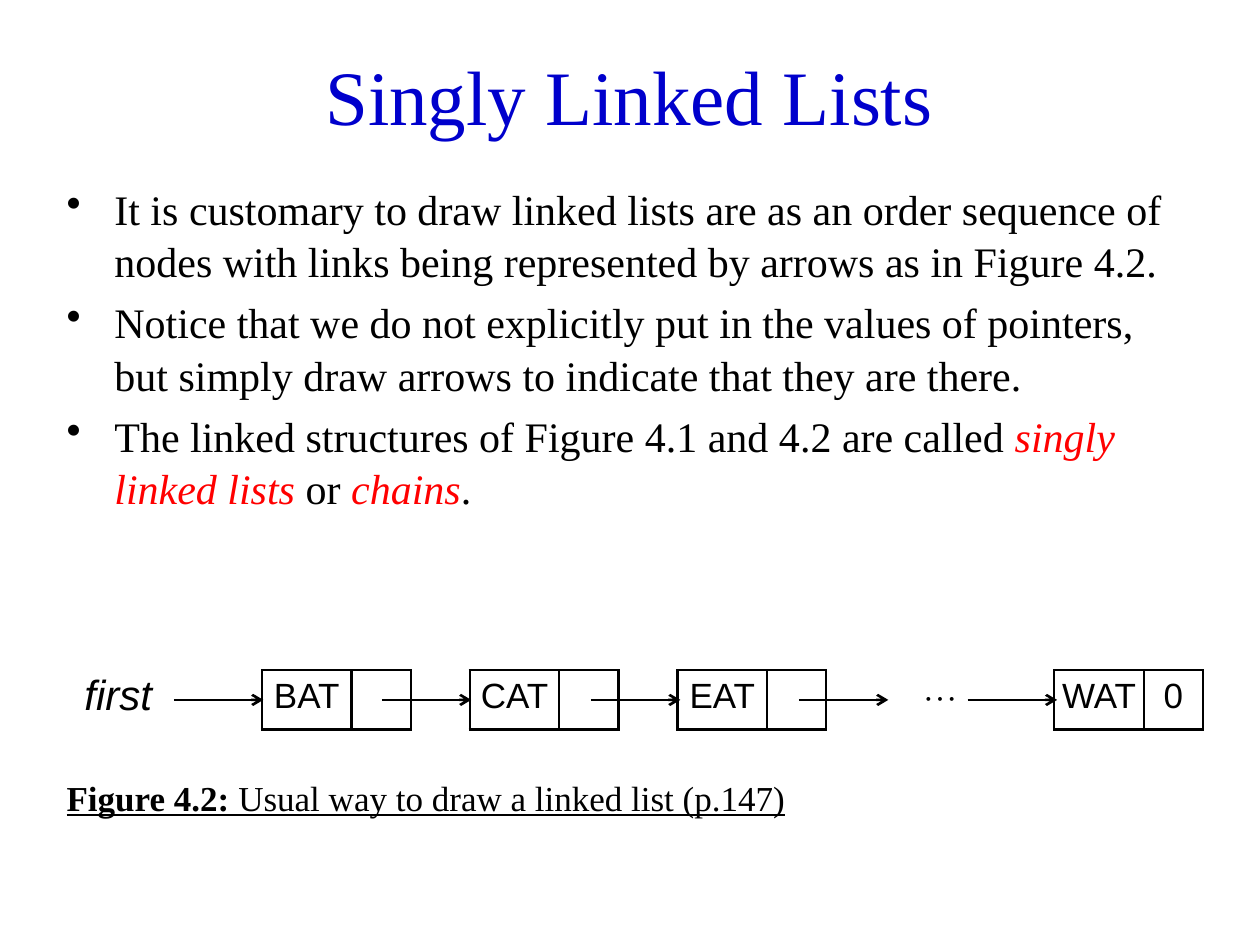
"""Build a slide that explains singly linked lists with a node diagram."""
import pptx
import pptx.dml.color
import pptx.enum.shapes
import pptx.enum.text
import pptx.oxml
import pptx.oxml.ns
import pptx.util
from lxml import etree

Inches, Pt = pptx.util.Inches, pptx.util.Pt
ALIGN, ANCHOR = pptx.enum.text.PP_ALIGN, pptx.enum.text.MSO_ANCHOR
qn = pptx.oxml.ns.qn
COLORS = {"title": "0000CC", "text": "000000", "term": "FF0000", "line": "000000"}
SERIF, SANS = "Times New Roman", "Arial"
LINE_WIDTH = Pt(1.5)
NO_GRID_STYLE = "{2D5ABB26-0587-4C30-8999-92F81FD0307C}"

BULLETS = [
    [("It is customary to draw linked lists are as an order sequence of nodes "
      "with links being represented by arrows as in Figure 4.2.", False)],
    [("Notice that we do not explicitly put in the values of pointers, "
      "but simply draw arrows to indicate that they are there.", False)],
    [("The linked structures of Figure 4.1 and 4.2 are called ", False),
     ("singly linked lists", True), (" or ", False), ("chains", True), (".", False)],
]
DATA_WIDTH, LINK_WIDTH = 0.71, 0.47
COLUMN_WIDTHS = ([1.02, LINK_WIDTH] + [DATA_WIDTH, LINK_WIDTH, LINK_WIDTH] * 2
                 + [DATA_WIDTH, LINK_WIDTH, 1.81, DATA_WIDTH, LINK_WIDTH])
CELL_TEXTS = {0: "first", 2: "BAT", 5: "CAT", 8: "EAT", 10: "⋯", 11: "WAT", 12: "0"}
NODE_COLUMNS = {2, 3, 5, 6, 8, 9, 11, 12}
ARROW_STARTS = [1.38, 3.03, 4.69, 6.34, 7.68]
ARROW_LENGTH = 0.71


def rgb(name):
    """Return the named colour."""
    return pptx.dml.color.RGBColor.from_string(COLORS[name])


def style_font(font, name, size, color="text"):
    """Set the face, size and colour of a font."""
    font.name, font.size = name, Pt(size)
    font.color.rgb = rgb(color)


def add_title(slide, left, top, width, height):
    """Place and format the title placeholder."""
    title = slide.shapes.title
    title.left, title.top, title.width, title.height = map(Inches, (left, top, width, height))
    title.text_frame.text = "Singly Linked Lists"
    title.text_frame.vertical_anchor = ANCHOR.MIDDLE
    paragraph = title.text_frame.paragraphs[0]
    paragraph.alignment = ALIGN.CENTER
    style_font(paragraph.font, SERIF, 44, "title")


def add_text_frame(slide, left, top, width, height):
    """Add a wrapping text box and return its text frame."""
    box = slide.shapes.add_textbox(*map(Inches, (left, top, width, height)))
    box.text_frame.word_wrap = True
    return box.text_frame


def add_bullets(slide, left, top, width, height):
    """Add the bulleted explanation with its terms highlighted."""
    frame = add_text_frame(slide, left, top, width, height)
    for index, runs in enumerate(BULLETS):
        paragraph = frame.paragraphs[0] if index == 0 else frame.add_paragraph()
        paragraph.space_before = Pt(5)
        paragraph.line_spacing = 1.04
        style_font(paragraph.font, SERIF, 24)
        properties = paragraph._p.get_or_add_pPr()
        properties.set("marL", str(Inches(0.38)))
        properties.set("indent", str(-Inches(0.38)))
        bullet = pptx.oxml.parse_xml(f'<a:buChar {pptx.oxml.ns.nsdecls("a")} char="•"/>')
        properties.find(qn("a:defRPr")).addprevious(bullet)
        for text, is_term in runs:
            run = paragraph.add_run()
            run.text = text
            style_font(run.font, SERIF, 24, "term" if is_term else "text")
            run.font.italic = is_term


def add_caption(slide, left, top, width, height):
    """Add the underlined figure caption."""
    paragraph = add_text_frame(slide, left, top, width, height).paragraphs[0]
    paragraph.space_before = Pt(4)
    for text, bold in (("Figure 4.2: ", True),
                       ("Usual way to draw a linked list (p.147)", False)):
        run = paragraph.add_run()
        run.text = text
        style_font(run.font, SERIF, 20)
        run.font.bold, run.font.underline = bold, True


def set_borders(cell, column):
    """Draw the cell edges that belong to a node."""
    is_node = column in NODE_COLUMNS
    edges = {"lnL": is_node or column - 1 in NODE_COLUMNS,
             "lnR": is_node or column + 1 in NODE_COLUMNS,
             "lnT": is_node, "lnB": is_node}
    properties = cell._tc.get_or_add_tcPr()
    for position, (tag, visible) in enumerate(edges.items()):
        edge = etree.Element(qn(f"a:{tag}"), w=str(LINE_WIDTH))
        fill = etree.SubElement(edge, qn("a:solidFill" if visible else "a:noFill"))
        if visible:
            etree.SubElement(fill, qn("a:srgbClr"), val=COLORS["line"])
        properties.insert(position, edge)


def fill_cell(cell, column):
    """Format one cell of the node row and write its text."""
    is_label, is_dots = column == 0, column == 10
    cell.margin_left = cell.margin_right = Inches(0.04 if column == 11 else 0.08)
    cell.margin_top = cell.margin_bottom = Inches(0.02 if is_label else 0.05)
    cell.text = CELL_TEXTS.get(column, "")
    cell.fill.background()
    paragraph = cell.text_frame.paragraphs[0]
    paragraph.alignment = ALIGN.LEFT if is_label else ALIGN.CENTER
    style_font(paragraph.font, "Cambria" if is_dots else SANS, 24 if is_label else 20)
    paragraph.font.italic = is_label
    set_borders(cell, column)


def add_arrow(slide, left, middle):
    """Add one link arrow that points right."""
    arrow = slide.shapes.add_connector(
        pptx.enum.shapes.MSO_CONNECTOR.STRAIGHT,
        *map(Inches, (left, middle, left + ARROW_LENGTH, middle)))
    arrow.line.color.rgb = rgb("line")
    arrow.line.width = LINE_WIDTH
    etree.SubElement(arrow.line._get_or_add_ln(), qn("a:tailEnd"), type="arrow")
    etree.SubElement(arrow._element.spPr, qn("a:effectLst"))


def add_linked_list(slide, left, top, width, height):
    """Add the row of nodes and the arrows between them."""
    frame = slide.shapes.add_table(1, len(COLUMN_WIDTHS),
                                   *map(Inches, (left, top, width, height)))
    table = frame.table
    table.first_row = table.horz_banding = False
    table._tbl.tblPr.find(qn("a:tableStyleId")).text = NO_GRID_STYLE
    for column, column_width in enumerate(COLUMN_WIDTHS):
        table.columns[column].width = Inches(column_width)
        fill_cell(table.cell(0, column), column)
    for start in ARROW_STARTS:
        add_arrow(slide, start, top + height / 2)


def main():
    """Build and save the presentation."""
    presentation = pptx.Presentation()
    presentation.slide_width, presentation.slide_height = Inches(10), Inches(7.5)
    slide = presentation.slides.add_slide(presentation.slide_layouts[5])
    add_title(slide, 0.43, 0.28, 9.13, 0.94)
    add_bullets(slide, 0.43, 1.39, 9.13, 2.84)
    add_caption(slide, 0.43, 6.11, 9.13, 0.47)
    add_linked_list(slide, 0.59, 5.32, 8.98, 0.47)
    presentation.save("out.pptx")


main()
